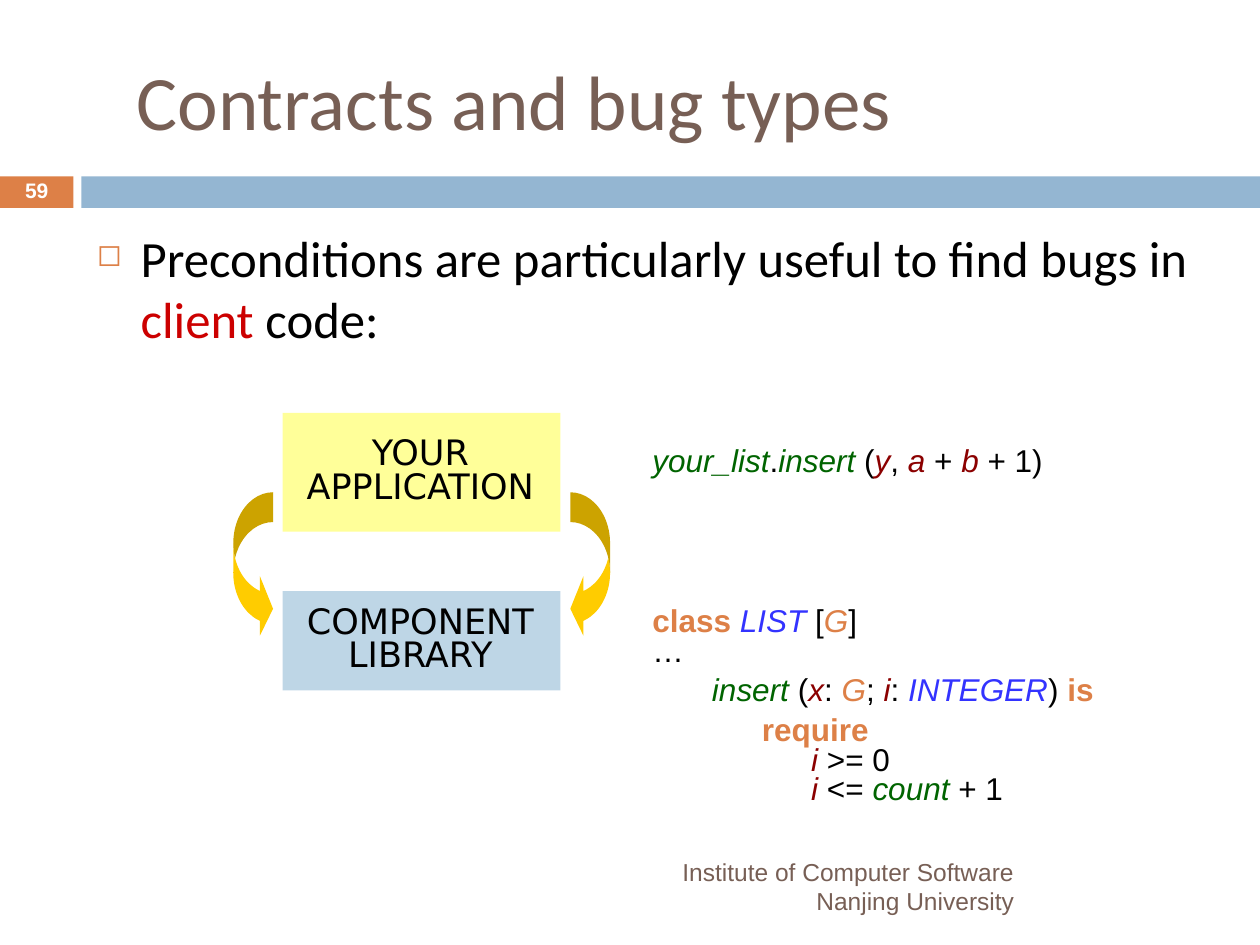
from lxml.etree import SubElement
from pptx import Presentation
from pptx.dml.color import RGBColor
from pptx.enum.shapes import MSO_SHAPE as Shape
from pptx.enum.text import MSO_ANCHOR as Anchor, MSO_AUTO_SIZE as AutoSize, PP_ALIGN as Align
from pptx.oxml.ns import qn
from pptx.util import Pt

# Styles: colour, bold, italic
BLACK, BROWN, ORANGE = "000000", "775F55", "DD8047"
PLAIN = (BLACK, False, False)
FEATURE = ("006400", False, True)
ARGUMENT = ("8B0000", False, True)
CLASS = ("3333FF", False, True)
GENERIC = (ORANGE, False, True)
KEYWORD = (ORANGE, True, False)

# Content
TITLE = [("Contracts and bug types", (BROWN, False, False))]
POINT = [("Preconditions are particularly useful to find bugs in ", PLAIN),
         ("client", ("CC0000", False, False)), (" code:", PLAIN)]
FOOTER = [[(line, (BROWN, False, False))]
          for line in ("Institute of Computer Software", "Nanjing University")]
PAGE_NUMBER = [("59", ("FFFFFF", True, False))]

# Bars and blocks: left, top, width, height, fill
BARS = [(0, 100.8, 42, 18, ORANGE), (46.5, 100.8, 673.5, 18, "94B6D2")]
BLOCKS = [("YOUR APPLICATION", 236, 67.8, "FFFF99"),
          ("COMPONENT LIBRARY", 337.8, 56.8, "BED6E6")]
BLOCK_LEFT, BLOCK_WIDTH = 161.5, 158.7

# Curved arrows: shape and left edge; shaft, head width and head length
ARROWS = [(Shape.CURVED_RIGHT_ARROW, 133.3), (Shape.CURVED_LEFT_ARROW, 325.9)]
ARROW_TOP, ARROW_WIDTH, ARROW_HEIGHT = 281.3, 22.7, 83.6
ARROW_RATIOS = (0.75, 1.5, 0.33)

# Code lines: left, top, width, runs
CODE = [
    (365.7, 252.9, 260, [("your_list", FEATURE), (".", PLAIN), ("insert", FEATURE),
                         (" (", PLAIN), ("y", ARGUMENT), (", ", PLAIN), ("a", ARGUMENT),
                         (" + ", PLAIN), ("b", ARGUMENT), (" + 1)", PLAIN)]),
    (365.7, 343.8, 260, [("class ", KEYWORD), ("LIST", CLASS), (" [", PLAIN),
                         ("G", GENERIC), ("]", PLAIN)]),
    (365.7, 361, 260, [("…", PLAIN)]),
    (399.8, 383.3, 260, [("insert", FEATURE), (" (", PLAIN), ("x", ARGUMENT), (": ", PLAIN),
                         ("G", GENERIC), ("; ", PLAIN), ("i", ARGUMENT), (": ", PLAIN),
                         ("INTEGER", CLASS), (") ", PLAIN), ("is", KEYWORD)]),
    (428.3, 406.3, 136, [("require", KEYWORD)]),
    (456.5, 423.4, 136, [("i", ARGUMENT), (" >= 0", PLAIN)]),
    (456.5, 440, 136, [("i", ARGUMENT), (" <= ", PLAIN), ("count", FEATURE),
                       (" + 1", PLAIN)]),
]


def color(hex_text):
    return RGBColor.from_string(hex_text)


def add_shape(page, kind, left, top, width, height, fill):
    shape = page.shapes.add_shape(kind, Pt(left), Pt(top), Pt(width), Pt(height))
    shape.shadow.inherit = False
    shape.fill.solid()
    shape.fill.fore_color.rgb = color(fill)
    shape.line.fill.background()
    return shape


def write(frame, lines, size, face="Arial", align=Align.LEFT, anchor=Anchor.TOP, spacing=None):
    frame.word_wrap = True
    frame.auto_size = AutoSize.NONE
    frame.vertical_anchor = anchor
    for index, runs in enumerate(lines):
        para = frame.add_paragraph() if index else frame.paragraphs[0]
        para.alignment = align
        para.line_spacing = spacing
        for text, (ink, bold, italic) in runs:
            span = para.add_run()
            span.text = text
            font = span.font
            font.name, font.size, font.bold, font.italic = face, Pt(size), bold, italic
            font.color.rgb = color(ink)


def add_text(page, left, top, width, height, lines, size, **style):
    box = page.shapes.add_textbox(Pt(left), Pt(top), Pt(width), Pt(height))
    write(box.text_frame, lines, size, **style)
    return box.text_frame.paragraphs[0]


def indent(para, left, first=0):
    props = para._p.get_or_add_pPr()
    props.set("marL", str(Pt(left)))
    props.set("indent", str(Pt(first)))
    return props


def add_bullet(para):
    props = indent(para, 25, -25)
    SubElement(SubElement(props, qn("a:buClr")), qn("a:srgbClr"), val=ORANGE)
    SubElement(props, qn("a:buSzPct"), val="60000")
    SubElement(props, qn("a:buChar"), char="◻")


def main():
    deck = Presentation()
    deck.slide_width, deck.slide_height = Pt(720), Pt(540)
    page = deck.slides.add_slide(deck.slide_layouts[5])

    # Title, bars and page number
    for left, top, width, height, fill in BARS:
        add_shape(page, Shape.RECTANGLE, left, top, width, height, fill)
    title = page.shapes.title
    title.left, title.top, title.width, title.height = Pt(70.8), Pt(18), Pt(619), Pt(78)
    write(title.text_frame, [TITLE], 44, face="Calibri", anchor=Anchor.MIDDLE)
    add_text(page, 0, 100, 42, 19.5, [PAGE_NUMBER], 12, align=Align.CENTER,
             anchor=Anchor.MIDDLE, spacing=0.8)

    # Main point and footer
    add_bullet(add_text(page, 48.3, 126, 642, 354, [POINT], 29, face="Calibri"))
    add_text(page, 48.2, 492, 538.5, 29, FOOTER, 14, align=Align.RIGHT, anchor=Anchor.MIDDLE)

    # Blocks with their labels
    for label, top, height, fill in BLOCKS:
        add_shape(page, Shape.RECTANGLE, BLOCK_LEFT, top, BLOCK_WIDTH, height, fill)
        para = add_text(page, 133.2, top + (height - 45.2) / 2, 187, 46, [[(label, PLAIN)]], 20,
                        face="DejaVu Sans", align=Align.CENTER, spacing=0.8)
        indent(para, 27)

    # Arrows from application to library
    for kind, left in ARROWS:
        arrow = add_shape(page, kind, left, ARROW_TOP, ARROW_WIDTH, ARROW_HEIGHT, "FFCC00")
        for index, ratio in enumerate(ARROW_RATIOS):
            arrow.adjustments[index] = ratio

    # Code
    for left, top, width, runs in CODE:
        add_text(page, left, top, width, 24.5, [runs], 18, spacing=0.8)

    deck.save("out.pptx")


if __name__ == "__main__":
    main()
